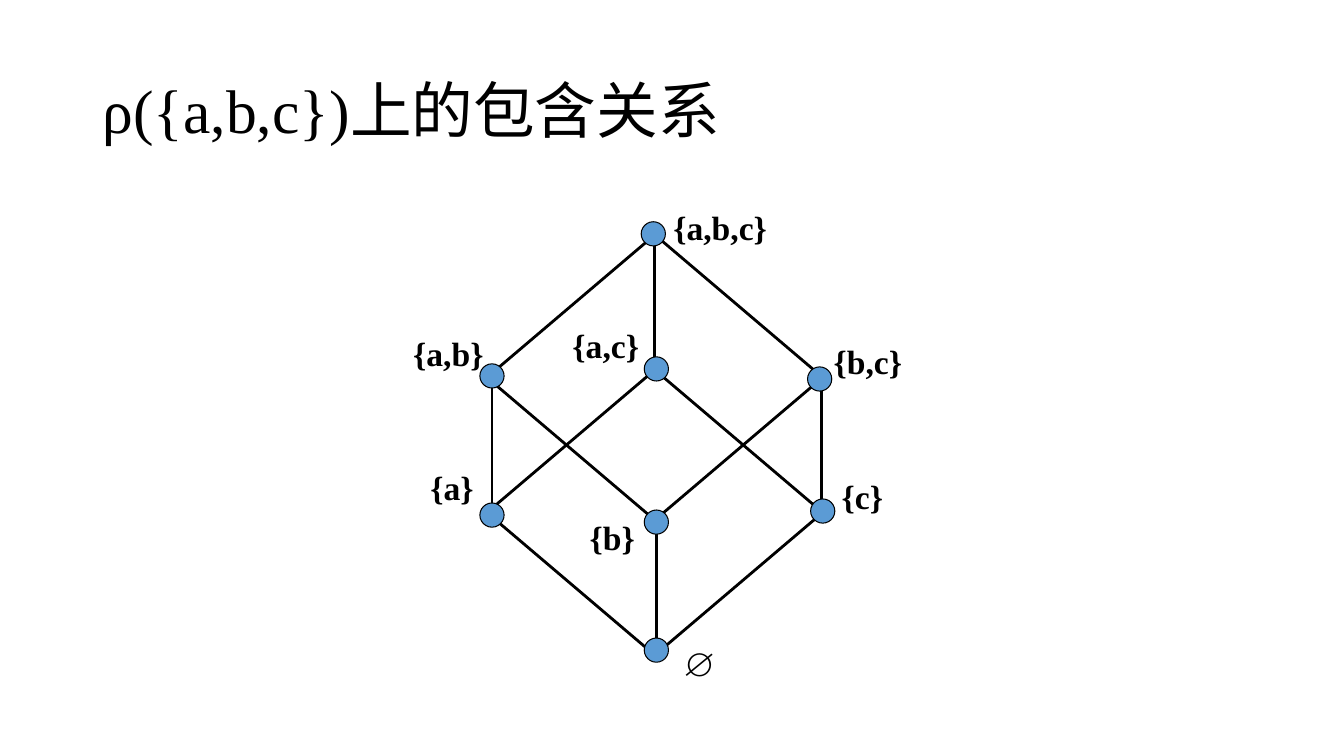
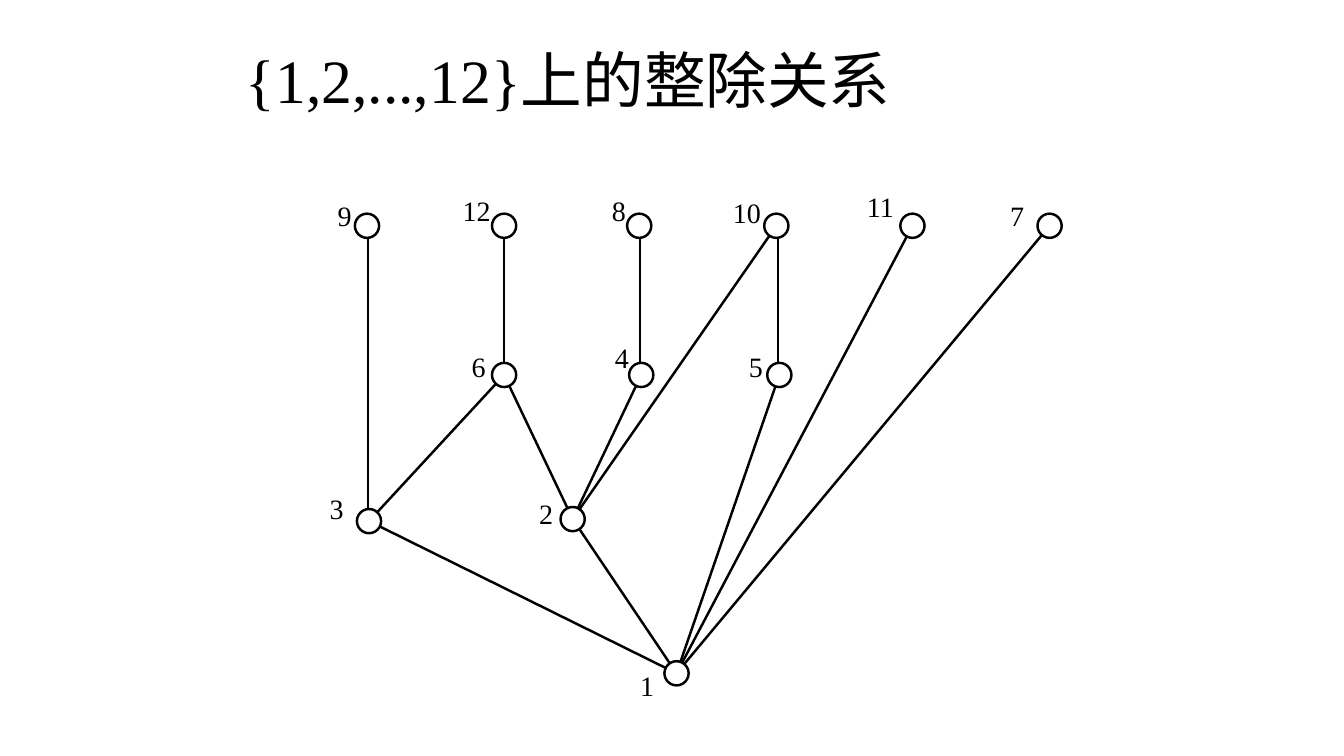
from math import hypot

from pptx import Presentation
from pptx.dml.color import RGBColor
from pptx.enum.shapes import MSO_CONNECTOR, MSO_SHAPE
from pptx.enum.text import MSO_ANCHOR, PP_ALIGN
from pptx.oxml import parse_xml
from pptx.oxml.ns import nsdecls
from pptx.util import Inches, Pt

# Theme
THEME = {
    "font": "Times New Roman",
    "ink": RGBColor(0x00, 0x00, 0x00),
    "blue": RGBColor(0x5B, 0x9B, 0xD5),
    "white": RGBColor(0xFF, 0xFF, 0xFF),
    "title_size": 44,
}
NODE_SIZE = 0.24

# Content: each node is name: (left, top, label left, label top)
DIAGRAMS = [
    {
        "title": "ρ({a,b,c})上的包含关系",
        "title_box": (0.92, 0.4, 11.5, 1.45),
        "diamonds": [(4.83, 2.33, 3.33, 2.83), (4.83, 3.67, 3.33, 2.83)],
        "nodes": {
            "∅": (6.39, 6.33, 6.67, 6.33),
            "{c}": (8.04, 4.95, 8.25, 4.67),
            "{b}": (6.39, 5.06, 5.75, 5.08),
            "{a}": (4.76, 4.99, 4.17, 4.58),
            "{b,c}": (8.01, 3.64, 8.17, 3.33),
            "{a,c}": (6.39, 3.54, 5.58, 3.17),
            "{a,b}": (4.76, 3.61, 4, 3.25),
            "{a,b,c}": (6.36, 2.2, 6.58, 2),
        },
        "edges": [("{a,b}", "{a}"), ("{b,c}", "{c}"), ("{b}", "∅"), ("{a,b,c}", "{a,c}")],
        "node_fill": THEME["blue"],
        "node_line": 0.75,
        "edge_line": 2,
        "label_size": (1.17, 0.5),
        "label_font": {"size": Pt(24), "bold": True},
        "label_align": PP_ALIGN.LEFT,
    },
    {
        "title": "{1,2,...,12}上的整除关系",
        "title_box": (2.34, 0.28, 8.25, 1.1),
        "diamonds": [],
        "nodes": {
            "9": (3.52, 2.12, 3.25, 1.92),
            "12": (4.88, 2.12, 4.49, 1.87),
            "8": (6.22, 2.12, 5.97, 1.87),
            "10": (7.58, 2.12, 7.17, 1.89),
            "11": (8.93, 2.12, 8.5, 1.83),
            "7": (10.29, 2.12, 9.92, 1.92),
            "6": (4.88, 3.6, 4.58, 3.42),
            "4": (6.24, 3.6, 6, 3.33),
            "5": (7.61, 3.6, 7.33, 3.42),
            "3": (3.54, 5.05, 3.17, 4.83),
            "2": (5.56, 5.03, 5.25, 4.88),
            "1": (6.59, 6.56, 6.25, 6.58),
        },
        "edges": [
            ("9", "3"), ("12", "6"), ("6", "2"), ("6", "3"), ("4", "2"), ("8", "4"),
            ("10", "5"), ("10", "2"), ("3", "1"), ("2", "1"), ("5", "1"), ("11", "1"), ("7", "1"),
        ],
        "node_fill": THEME["white"],
        "node_line": 1.75,
        "edge_line": 1.75,
        "label_size": (0.6, 0.5),
        "label_font": {"size": Pt(20), "bold": False},
        "label_align": PP_ALIGN.JUSTIFY,
    },
]


# Drawing helpers
def set_line(shape, width):
    shape.line.color.rgb = THEME["ink"]
    shape.line.width = Pt(width)


def add_outline(slide, kind, box, width, fill=None):
    shape = slide.shapes.add_shape(kind, *map(Inches, box))
    shape.shadow.inherit = False
    if fill is None:
        shape.fill.background()
    else:
        shape.fill.solid()
        shape.fill.fore_color.rgb = fill
    set_line(shape, width)


def add_text(slide, text, box, font, anchor=MSO_ANCHOR.TOP, **paragraph_format):
    frame = slide.shapes.add_textbox(*map(Inches, box)).text_frame
    frame.word_wrap = True
    frame.vertical_anchor = anchor
    paragraph = frame.paragraphs[0]
    for name, value in paragraph_format.items():
        setattr(paragraph, name, value)
    run = paragraph.add_run()
    run.text = text
    for name, value in {"name": THEME["font"], **font}.items():
        setattr(run.font, name, value)
    run.font.color.rgb = THEME["ink"]


def add_edge(slide, upper, lower, width):
    """Join the rims of two nodes; nearly upright edges become vertical."""
    radius = NODE_SIZE / 2
    x1, y1, x2, y2 = (value + radius for value in (*upper[:2], *lower[:2]))
    if abs(x2 - x1) < 0.1:
        x1 = x2 = (x1 + x2) / 2
    ratio = radius / hypot(x2 - x1, y2 - y1)
    dx, dy = (x2 - x1) * ratio, (y2 - y1) * ratio
    ends = (x1 + dx, y1 + dy, x2 - dx, y2 - dy)
    connector = slide.shapes.add_connector(MSO_CONNECTOR.STRAIGHT, *map(Inches, ends))
    set_line(connector, width)
    connector._element.spPr.append(parse_xml(f"<a:effectLst {nsdecls('a')}/>"))


def add_diagram(presentation, diagram):
    slide = presentation.slides.add_slide(presentation.slide_layouts[6])
    nodes = diagram["nodes"]
    add_text(slide, diagram["title"], diagram["title_box"],
             {"size": Pt(THEME["title_size"])}, MSO_ANCHOR.MIDDLE, line_spacing=0.9)
    for box in diagram["diamonds"]:
        add_outline(slide, MSO_SHAPE.DIAMOND, box, diagram["edge_line"])
    for upper, lower in diagram["edges"]:
        add_edge(slide, nodes[upper], nodes[lower], diagram["edge_line"])
    for left, top, *_ in nodes.values():
        add_outline(slide, MSO_SHAPE.OVAL, (left, top, NODE_SIZE, NODE_SIZE),
                    diagram["node_line"], diagram["node_fill"])
    for name, (*_, left, top) in nodes.items():
        add_text(slide, name, (left, top, *diagram["label_size"]),
                 diagram["label_font"], alignment=diagram["label_align"])


def main():
    presentation = Presentation()
    presentation.slide_width = Inches(13.33)
    presentation.slide_height = Inches(7.5)
    for diagram in DIAGRAMS:
        add_diagram(presentation, diagram)
    presentation.save("out.pptx")


if __name__ == "__main__":
    main()
